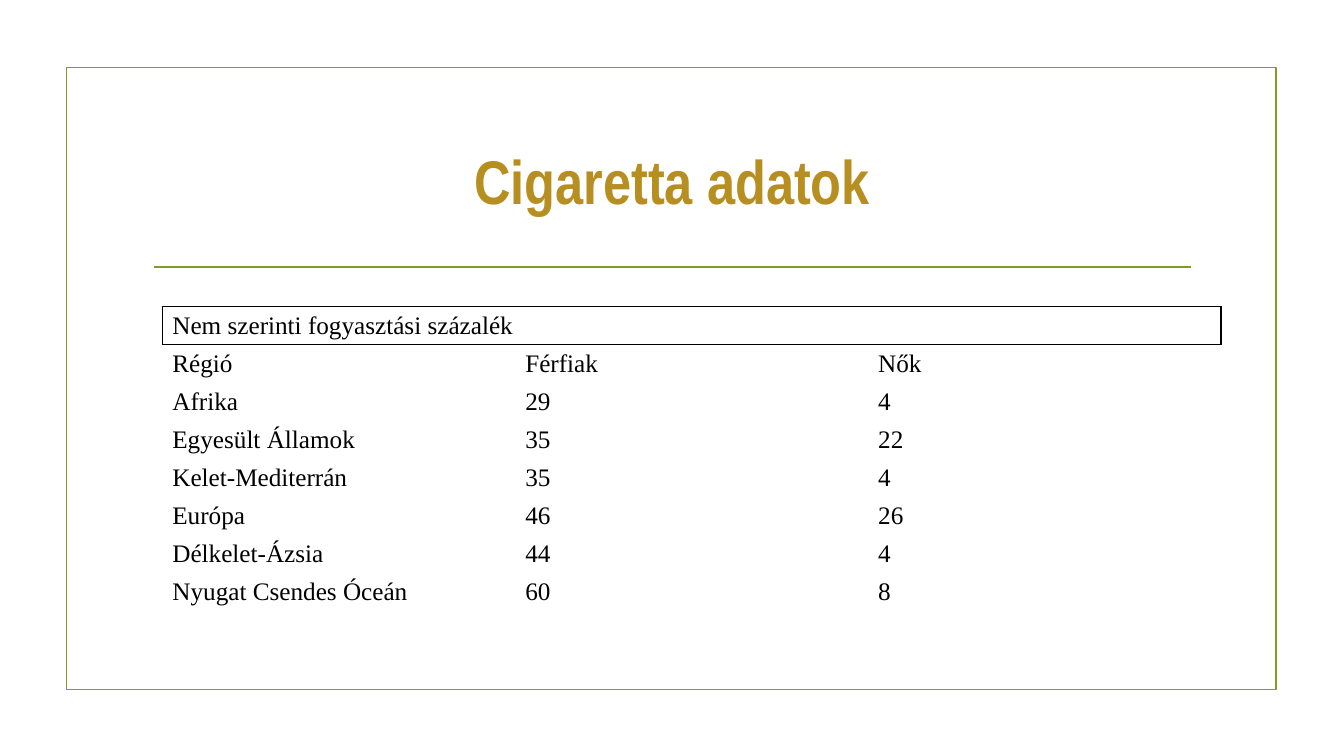
from lxml.etree import SubElement
from pptx import Presentation
from pptx.dml.color import RGBColor
from pptx.enum.shapes import MSO_CONNECTOR, MSO_SHAPE
from pptx.enum.text import MSO_ANCHOR, PP_ALIGN
from pptx.oxml.ns import qn
from pptx.util import Inches, Pt

GREEN = RGBColor(0x83, 0x99, 0x2A)
GOLD = RGBColor(0xB7, 0x8E, 0x20)
BLACK = RGBColor(0x00, 0x00, 0x00)
NO_STYLE_NO_GRID = "{2D5ABB26-0587-4C30-8999-92F81FD0307C}"

TABLE_TITLE = "Nem szerinti fogyasztási százalék"
ROWS = [
    ("Régió", "Férfiak", "Nők"),
    ("Afrika", "29", "4"),
    ("Egyesült Államok", "35", "22"),
    ("Kelet-Mediterrán", "35", "4"),
    ("Európa", "46", "26"),
    ("Délkelet-Ázsia", "44", "4"),
    ("Nyugat Csendes Óceán", "60", "8"),
]
HEADER_BORDERS = [("lnL", "lnR", "lnT", "lnB"), ("lnT",), ("lnR", "lnT")]


def add_text(paragraph, text, font_name, size, color, bold=False):
    run = paragraph.add_run()
    run.text = text
    run.font.name = font_name
    run.font.size = Pt(size)
    run.font.bold = bold
    run.font.color.rgb = color


def add_frame(slide, left, top, width, height):
    frame = slide.shapes.add_shape(
        MSO_SHAPE.RECTANGLE, Inches(left), Inches(top), Inches(width), Inches(height)
    )
    frame.shadow.inherit = False
    frame.fill.background()
    frame.line.color.rgb = GREEN
    frame.line.width = Pt(1.25)


def add_title(slide, left, top, width, height):
    rule_top = top + height + 0.15
    rule = slide.shapes.add_connector(
        MSO_CONNECTOR.STRAIGHT,
        Inches(left + 0.11), Inches(rule_top),
        Inches(left + width - 0.11), Inches(rule_top),
    )
    rule.line.color.rgb = GREEN
    rule.line.width = Pt(1.25)
    SubElement(rule._element.spPr, qn("a:effectLst"))

    title = slide.shapes.add_textbox(
        Inches(left), Inches(top), Inches(width), Inches(height)
    )
    title.text_frame.word_wrap = True
    title.text_frame.vertical_anchor = MSO_ANCHOR.MIDDLE
    paragraph = title.text_frame.paragraphs[0]
    paragraph.alignment = PP_ALIGN.CENTER
    add_text(paragraph, "Cigaretta adatok", "Arial Narrow", 44, GOLD, bold=True)


def add_borders(cell, sides):
    properties = cell._tc.get_or_add_tcPr()
    for position, side in enumerate(sides):
        line = properties.makeelement(qn(f"a:{side}"), {"w": str(Pt(1))})
        fill = SubElement(line, qn("a:solidFill"))
        SubElement(fill, qn("a:srgbClr"), val=str(BLACK))
        properties.insert(position, line)


def fill_cell(cell, text):
    cell.margin_top = cell.margin_bottom = 0
    cell.vertical_anchor = MSO_ANCHOR.MIDDLE
    add_text(cell.text_frame.paragraphs[0], text, "Times New Roman", 18, BLACK)


def add_data_table(slide, left, top, width, height):
    table = slide.shapes.add_table(
        len(ROWS) + 1, len(ROWS[0]),
        Inches(left), Inches(top), Inches(width), Inches(height),
    ).table
    table.first_row = False
    table.horz_banding = False
    table._tbl.tblPr.find(qn("a:tableStyleId")).text = NO_STYLE_NO_GRID
    for cell in table.iter_cells():
        cell.fill.background()

    table.cell(0, 0).merge(table.cell(0, len(ROWS[0]) - 1))
    fill_cell(table.cell(0, 0), TABLE_TITLE)
    for column, sides in enumerate(HEADER_BORDERS):
        add_borders(table.cell(0, column), sides)
    for row, values in enumerate(ROWS, start=1):
        for column, value in enumerate(values):
            fill_cell(table.cell(row, column), value)


def main():
    presentation = Presentation()
    presentation.slide_width = Inches(13.33)
    presentation.slide_height = Inches(7.5)
    slide = presentation.slides.add_slide(presentation.slide_layouts[6])
    add_frame(slide, 0.66, 0.67, 12, 6.17)
    add_title(slide, 1.42, 1.07, 10.5, 1.43)
    add_data_table(slide, 1.61, 3.04, 10.5, 3.02)
    presentation.save("out.pptx")


if __name__ == "__main__":
    main()
